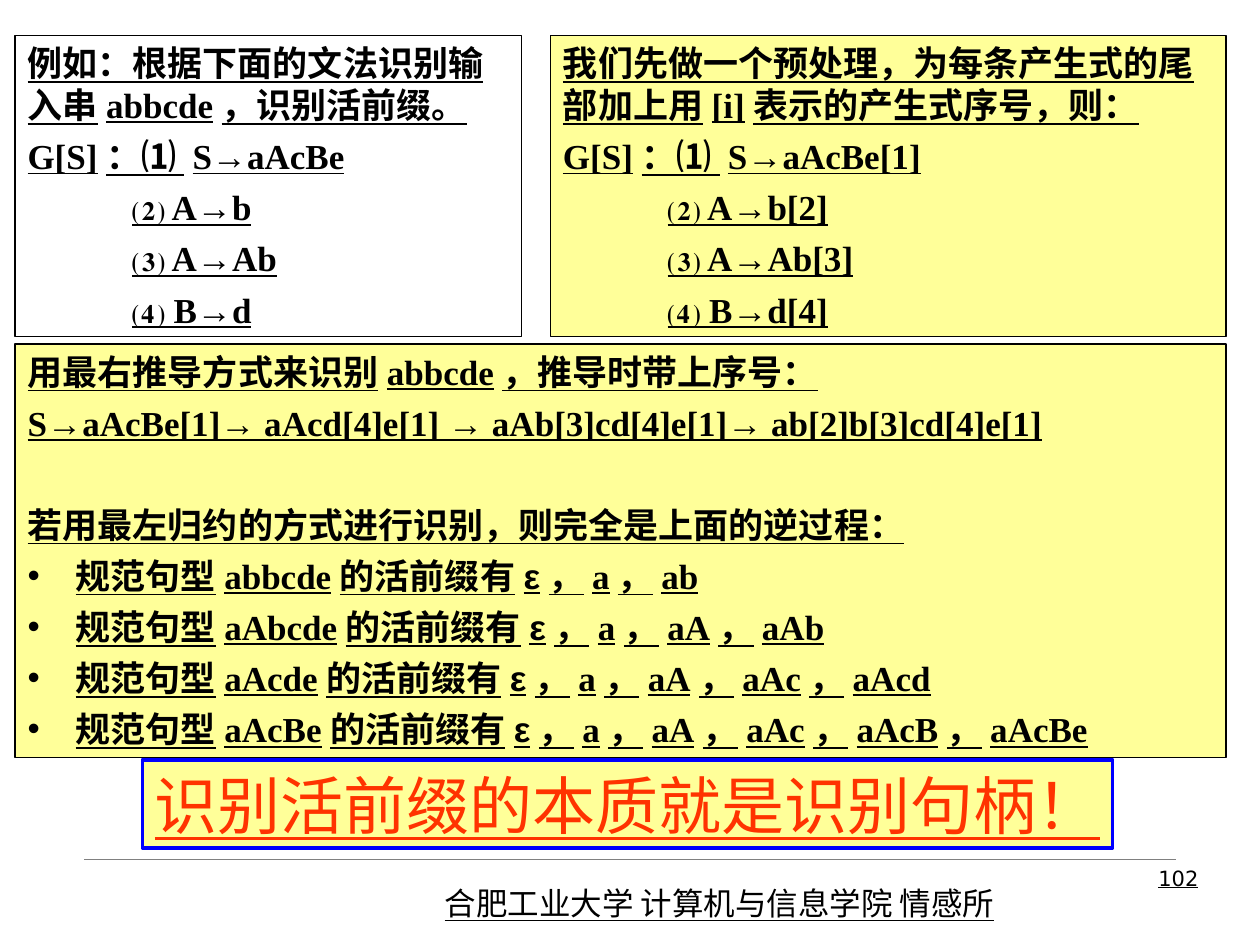
"""Build the slide on recognising viable prefixes with a numbered grammar."""
from lxml import etree
from pptx import Presentation
from pptx.dml.color import RGBColor
from pptx.enum.shapes import MSO_CONNECTOR, MSO_SHAPE
from pptx.enum.text import MSO_ANCHOR, MSO_AUTO_SIZE, PP_ALIGN
from pptx.oxml.ns import qn
from pptx.util import Inches, Pt

LEFT, CENTER, RIGHT = PP_ALIGN.LEFT, PP_ALIGN.CENTER, PP_ALIGN.RIGHT
TOP, MIDDLE = MSO_ANCHOR.TOP, MSO_ANCHOR.MIDDLE
NO_FIT = MSO_AUTO_SIZE.NONE
RECTANGLE, STRAIGHT = MSO_SHAPE.RECTANGLE, MSO_CONNECTOR.STRAIGHT
COLORS = {"ink": "000000", "panel": "FFFF99", "frame": "0000FF",
          "alert": "FF3300", "rule": "808080"}
SERIF, SANS, CJK, NUMBER = "Times New Roman", "Arial", "Noto Sans CJK SC", "DejaVu Sans"

deck = Presentation()
deck.slide_width, deck.slide_height = Inches(10), Inches(7.5)
COLUMN, ROW = deck.slide_width / 100, deck.slide_height / 75
page = deck.slides.add_slide(deck.slide_layouts[1])
title, body = page.placeholders


def set_box(box, area, fill=None, line=None, width=0.75, anchor=TOP, wrap=True):
    left, top, across, down = area
    box.left, box.top = int(left * COLUMN), int(top * ROW)
    box.width, box.height = int(across * COLUMN), int(down * ROW)
    if fill:
        box.fill.solid()
        box.fill.fore_color.rgb = RGBColor.from_string(COLORS[fill])
    else:
        box.fill.background()
    if line:
        box.line.color.rgb = RGBColor.from_string(COLORS[line])
        box.line.width = Pt(width)
    frame = box.text_frame
    frame.auto_size, frame.word_wrap, frame.vertical_anchor = NO_FIT, wrap, anchor
    return frame


def write(frame, number, spans, size=20, color="ink", bold=True, align=LEFT,
          before=5.1, hanging=False, bullet=None, tab=None):
    para = frame.paragraphs[0] if number == 0 else frame.add_paragraph()
    props = para._p.get_or_add_pPr()
    props.set("hangingPunct", "0")
    if hanging:
        props.set("marL", str(Inches(0.38)))
        props.set("indent", str(-Inches(0.38)))
        if bullet:
            etree.SubElement(props, qn("a:buChar")).set("char", bullet)
        else:
            etree.SubElement(props, qn("a:buNone"))
    if tab:
        stops = etree.SubElement(props, qn("a:tabLst"))
        etree.SubElement(stops, qn("a:tab"), pos=str(Inches(tab)), algn="l")
    para.alignment = align
    para.space_before = Pt(before if number else 0)
    para.space_after = Pt(0.1)
    for text, face in spans:
        span = para.add_run()
        span.text = text
        font = span.font
        font.name, font.size, font.bold, font.underline = face, Pt(size), bold, True
        font.color.rgb = RGBColor.from_string(COLORS[color])
        etree.SubElement(span._r.get_or_add_rPr(), qn("a:ea")).set("typeface", CJK)


rule = page.shapes.add_connector(STRAIGHT, int(6.7 * COLUMN), int(68.2 * ROW),
                                 int(93.3 * COLUMN), int(68.2 * ROW))
rule.line.color.rgb = RGBColor.from_string(COLORS["rule"])
rule.line.width = Pt(0.25)
etree.SubElement(rule._element.spPr, qn("a:effectLst"))

grammars = [
    ((1.2, 2.8, 40.2, 23.9), None, "例如：根据下面的文法识别输入串abbcde，识别活前缀。",
     ["S→aAcBe", "A→b", "A→Ab", "B→d"]),
    ((43.7, 2.8, 53.6, 23.9), "panel",
     "我们先做一个预处理，为每条产生式的尾部加上用[i]表示的产生式序号，则：",
     ["S→aAcBe[1]", "A→b[2]", "A→Ab[3]", "B→d[4]"]),
]
for area, fill, heading, productions in grammars:
    box = page.shapes.add_shape(RECTANGLE, 0, 0, 0, 0)
    box.shadow.inherit = False
    frame = set_box(box, area, fill, "ink")
    write(frame, 0, [(heading, SERIF)])
    for number, (mark, production) in enumerate(zip("⑴⑵⑶⑷", productions), 1):
        lead = "G[S]：" if number == 1 else "\t"
        write(frame, number, [(f"{lead}{mark} {production}", SERIF)], tab=0.83)

frame = set_box(body, (1.2, 27.3, 96.1, 32.8), "panel", "ink")
derivation = [
    ("用最右推导方式来识别abbcde，推导时带上序号：", 0),
    ("S→aAcBe[1]→ aAcd[4]e[1] → aAb[3]cd[4]e[1]→ ab[2]b[3]cd[4]e[1]", 5.1),
    ("若用最左归约的方式进行识别，则完全是上面的逆过程：", 34),
]
for number, (text, before) in enumerate(derivation):
    write(frame, number, [(text, SERIF)], before=before, hanging=True)
prefixes = {
    "abbcde": ["a", "ab"],
    "aAbcde": ["a", "aA", "aAb"],
    "aAcde": ["a", "aA", "aAc", "aAcd"],
    "aAcBe": ["a", "aA", "aAc", "aAcB", "aAcBe"],
}
for number, (form, found) in enumerate(prefixes.items(), len(derivation)):
    spans = [(f"规范句型{form}的活前缀有", SERIF), ("ε", SANS),
             ("，" + "，".join(found), SERIF)]
    write(frame, number, spans, hanging=True, bullet="•")

frame = set_box(title, (11.3, 60.3, 77, 7), "panel", "frame", 2, MIDDLE, False)
frame.margin_left = frame.margin_right = Inches(0.05)
write(frame, 0, [("识别活前缀的本质就是识别句柄！", SANS)], 36, "alert", False, CENTER)

labels = [
    ((34.3, 69.7, 48, 4), "合肥工业大学 计算机与信息学院 情感所", CJK, 18, LEFT),
    ((74.4, 68.2, 21.7, 5.2), "102", NUMBER, 12, RIGHT),
]
for area, text, face, size, align in labels:
    frame = set_box(page.shapes.add_textbox(0, 0, 0, 0), area)
    write(frame, 0, [(text, face)], size, bold=False, align=align)

deck.save("out.pptx")
